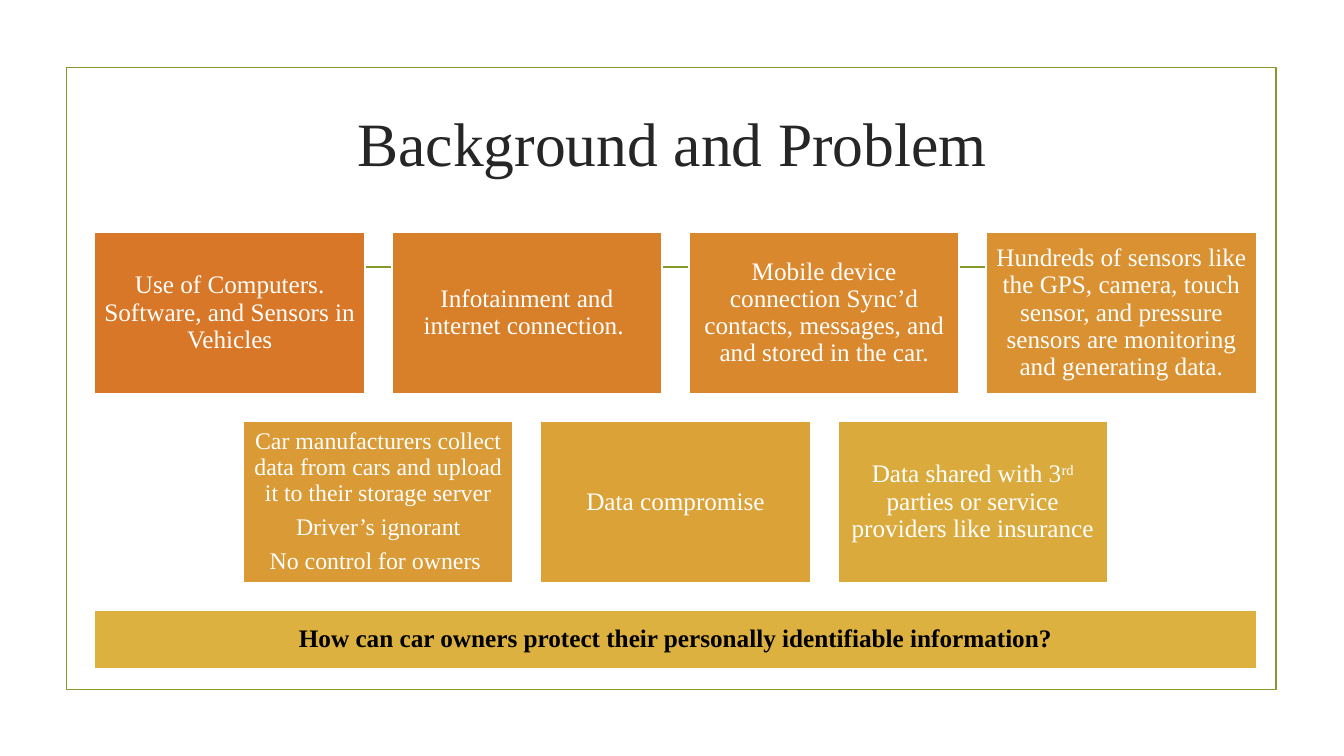
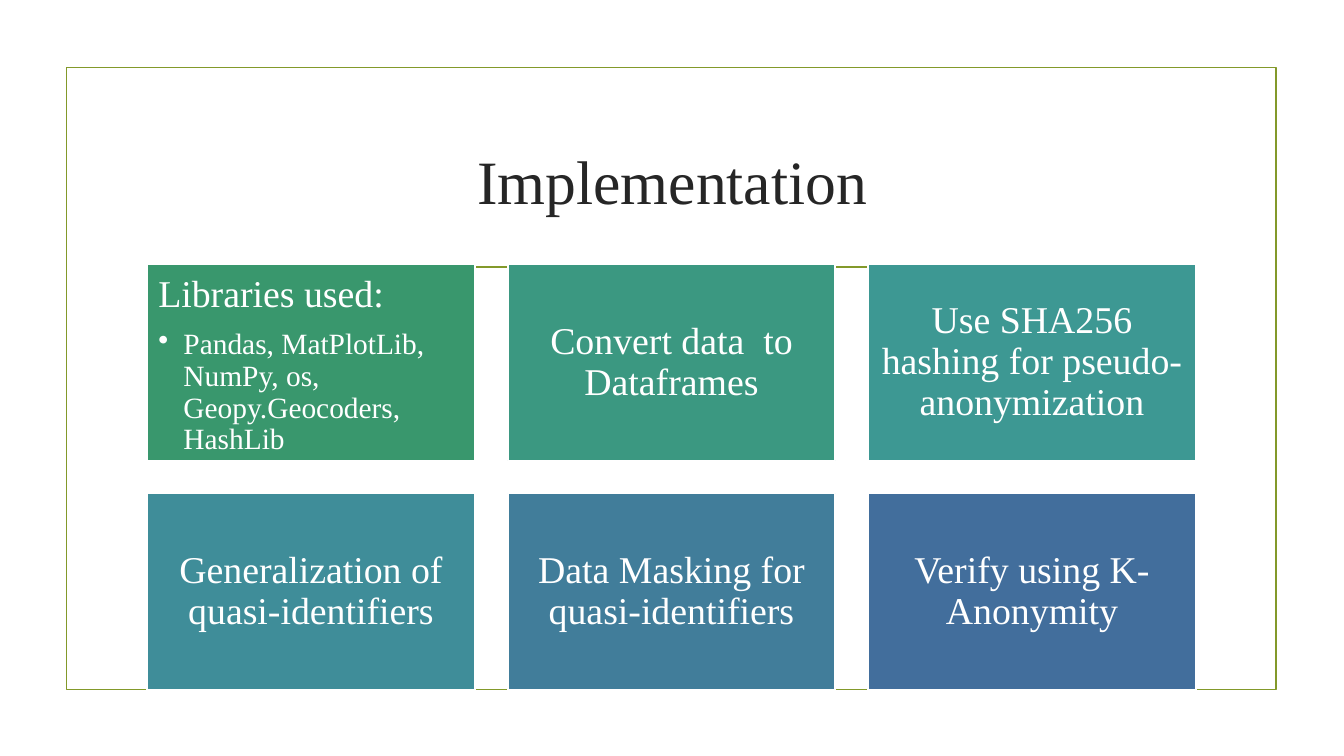
"""Build two slides on vehicle data privacy from centred rows of coloured boxes."""
from dataclasses import dataclass

from lxml.etree import SubElement
from pptx import Presentation
from pptx.dml.color import RGBColor as Rgb
from pptx.enum.shapes import MSO_CONNECTOR as Connector
from pptx.enum.shapes import MSO_SHAPE as Shape
from pptx.enum.text import MSO_ANCHOR as Anchor
from pptx.enum.text import MSO_AUTO_SIZE as AutoSize
from pptx.enum.text import PP_ALIGN as Align
from pptx.oxml.ns import qn
from pptx.util import Inches, Pt

COLOURS = {
    "frame": "83992A", "title": "262626", "white": "FFFFFF", "black": "000000",
    "problem1": "D77727", "problem2": "D87F2A", "problem3": "D9882E", "problem4": "D99131",
    "problem5": "DA9A35", "problem6": "DBA238", "problem7": "DBAA3C", "question": "DCB13F",
    "step1": "39976D", "step2": "3B9881", "step3": "3D9893",
    "step4": "3F8D99", "step5": "417D9A", "step6": "426E9C",
}
FONT = "Times New Roman"
TITLE_ONLY = 5
LINE_WIDTH = 1.25

PROBLEM_ROWS = [
    [
        ["Use of Computers. Software, and Sensors in Vehicles"],
        ["Infotainment and internet connection. "],
        ["Mobile device connection Sync’d contacts, messages, and and stored in the car."],
        ["Hundreds of sensors like the GPS, camera, touch sensor, and pressure sensors "
         "are monitoring and generating data."],
    ],
    [
        ["Car manufacturers collect data from cars and upload it to their storage server",
         "Driver’s ignorant",
         "No control for owners "],
        ["Data compromise"],
        [("Data shared with 3", "rd", " parties or service providers like insurance")],
    ],
]
QUESTION = ["How can car owners protect their personally identifiable information?"]
STEP_ROWS = [
    [
        ["Libraries used:", "Pandas, MatPlotLib, NumPy, os, Geopy.Geocoders, HashLib"],
        ["Convert data  to Dataframes"],
        ["Use SHA256 hashing for pseudo-anonymization"],
    ],
    [
        ["Generalization of quasi-identifiers"],
        ["Data Masking for quasi-identifiers"],
        ["Verify using K-Anonymity"],
    ],
]


@dataclass
class Grid:
    """Rows of equal cells centred on one axis; gap and height follow the width."""
    centre: float
    top: float
    width: float
    inset: float
    size: float

    @property
    def gap(self):
        """Return the space between cells."""
        return 0.1 * self.width

    @property
    def height(self):
        """Return the height of a cell."""
        return 0.6 * self.width

    def span(self, count):
        """Return the width of a row of cells."""
        return count * self.width + (count - 1) * self.gap

    def row_top(self, row):
        """Return the top of a row."""
        return self.top + row * (self.height + self.gap)

    def cell(self, row, column, count):
        """Return left, top, width and height of one cell."""
        left = self.centre - self.span(count) / 2 + column * (self.width + self.gap)
        return left, self.row_top(row), self.width, self.height


def apply(target, **values):
    """Set each named value on the target."""
    for name, value in values.items():
        setattr(target, name, value)


def colour(name):
    """Return a named colour."""
    return Rgb.from_string(COLOURS[name])


def style_font(font, size, ink, bold=False):
    """Format a font."""
    apply(font, name=FONT, size=Pt(size), bold=bold)
    font.color.rgb = colour(ink)


def style_line(line, ink):
    """Format an outline or a rule."""
    line.color.rgb = colour(ink)
    line.width = Pt(LINE_WIDTH)


def set_margins(frame, side, end):
    """Set the side and end margins of a text frame."""
    apply(frame, margin_left=Inches(side), margin_right=Inches(side),
          margin_top=Inches(end), margin_bottom=Inches(end))


def add_rectangle(page, place, ink, fill=None):
    """Add a flat rectangle."""
    box = page.shapes.add_shape(Shape.RECTANGLE, *map(Inches, place))
    box.shadow.inherit = False
    style_line(box.line, ink)
    if fill:
        box.fill.solid()
        box.fill.fore_color.rgb = colour(fill)
    else:
        box.fill.background()
    return box


def add_rule(page, left, right, top):
    """Add a flat horizontal rule."""
    rule = page.shapes.add_connector(Connector.STRAIGHT, *map(Inches, (left, top, right, top)))
    style_line(rule.line, "frame")
    SubElement(rule._element.spPr, qn("a:effectLst"))


def add_page(deck, title, title_top):
    """Add a slide with the shared frame, rule and title."""
    page = deck.slides.add_slide(deck.slide_layouts[TITLE_ONLY])
    add_rectangle(page, (0.66, 0.67, 12, 6.17), "frame")
    add_rule(page, 1.53, 11.81, 2.65)
    heading = page.shapes.title
    apply(heading, left=Inches(1.42), top=Inches(title_top),
          width=Inches(10.5), height=Inches(1.43))
    frame = heading.text_frame
    apply(frame, text=title, word_wrap=True, auto_size=AutoSize.NONE,
          vertical_anchor=Anchor.MIDDLE)
    set_margins(frame, 0.1, 0.05)
    para = frame.paragraphs[0]
    para.alignment = Align.CENTER
    style_font(para.runs[0].font, 44, "title")
    return page


def fill_para(para, text, size, ink, bold):
    """Write a paragraph, raising every second piece of a tuple."""
    pieces = text if isinstance(text, tuple) else (text,)
    for index, piece in enumerate(pieces):
        span = para.add_run()
        span.text = piece
        style_font(span.font, size, ink, bold)
        if index % 2:
            span._r.get_or_add_rPr().set("baseline", "30000")


def add_box(page, place, fill, texts, size, inset, ink="white", bold=False):
    """Add a filled box of centred paragraphs."""
    box = add_rectangle(page, place, "white", fill)
    frame = box.text_frame
    apply(frame, word_wrap=True, vertical_anchor=Anchor.MIDDLE)
    set_margins(frame, inset, inset)
    for index, text in enumerate(texts):
        para = frame.add_paragraph() if index else frame.paragraphs[0]
        apply(para, alignment=Align.CENTER, line_spacing=0.9,
              space_before=Pt(6 if index else 0))
        fill_para(para, text, size, ink, bold)
    return box


def add_rows(page, grid, rows, series):
    """Add rows of boxes in a numbered colour series and return the boxes."""
    boxes = []
    for row, cells in enumerate(rows):
        for column, texts in enumerate(cells):
            place = grid.cell(row, column, len(cells))
            size = grid.size if len(texts) == 1 else grid.size - 1
            fill = f"{series}{len(boxes) + 1}"
            boxes.append(add_box(page, place, fill, texts, size, grid.inset))
    return boxes


def make_list(box, head_size, item_size):
    """Turn a box into a left-aligned heading with bulleted items."""
    frame = box.text_frame
    frame.vertical_anchor = Anchor.TOP
    for index, para in enumerate(frame.paragraphs):
        para.alignment = Align.LEFT
        para.runs[0].font.size = Pt(item_size if index else head_size)
        if index:
            apply(para, level=1, space_before=Pt(9.4))
            props = para._p.get_or_add_pPr()
            props.set("marL", str(Inches(0.25)))
            props.set("indent", str(Inches(-0.25)))
            SubElement(props, qn("a:buChar")).set("char", "•")


def build_problem(deck):
    """Build the background slide."""
    page = add_page(deck, "Background and Problem", 0.69)
    grid = Grid(centre=6.7, top=2.3, width=2.68, inset=0.07, size=18)
    add_rows(page, grid, PROBLEM_ROWS, "problem")
    width = grid.span(4)
    place = (grid.centre - width / 2, grid.row_top(2), width, 0.58)
    add_box(page, place, "question", QUESTION, grid.size, grid.inset, "black", True)


def build_implementation(deck):
    """Build the implementation slide."""
    page = add_page(deck, "Implementation", 1.07)
    grid = Grid(centre=6.66, top=2.62, width=3.25, inset=0.11, size=27)
    libraries = add_rows(page, grid, STEP_ROWS, "step")[0]
    make_list(libraries, grid.size, 21)


def main():
    """Build and save the deck."""
    deck = Presentation()
    apply(deck, slide_width=Inches(13.33), slide_height=Inches(7.5))
    build_problem(deck)
    build_implementation(deck)
    deck.save("out.pptx")


if __name__ == "__main__":
    main()
